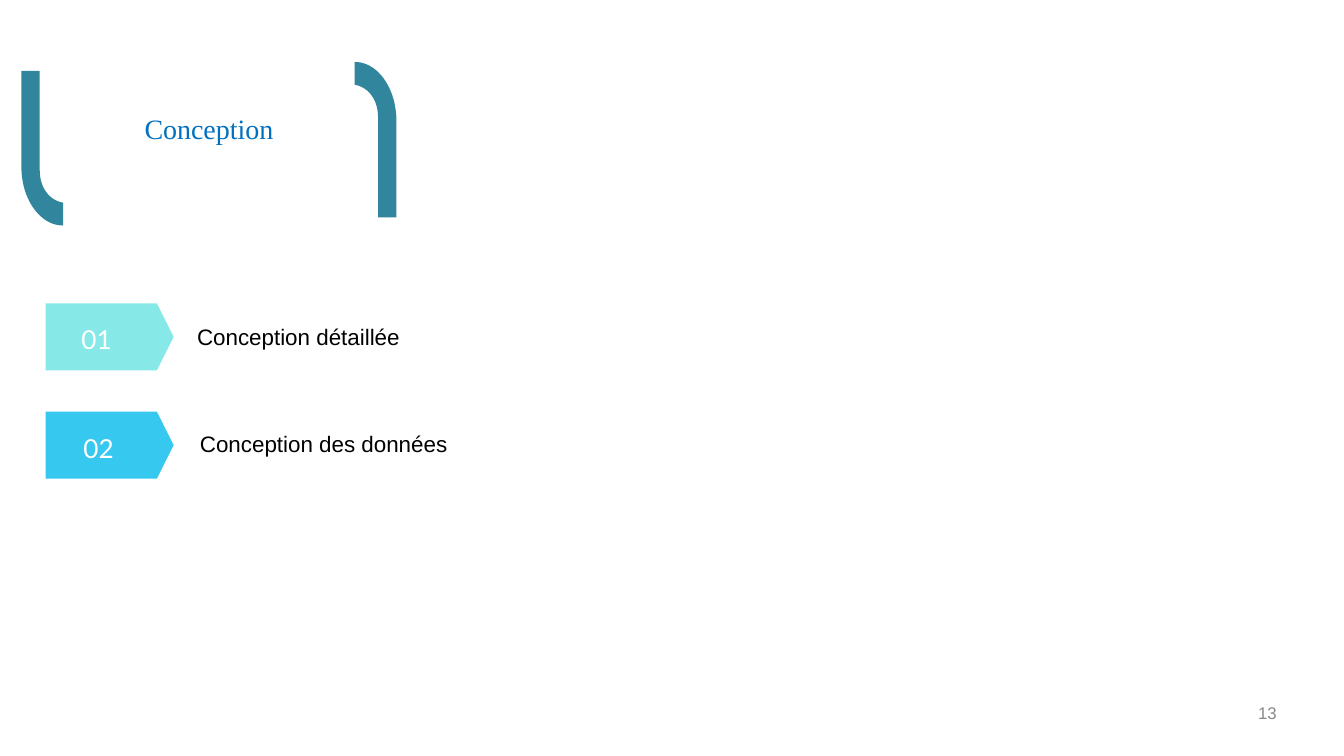
from dataclasses import dataclass

from pptx import Presentation
from pptx.dml.color import RGBColor as Rgb
from pptx.enum.shapes import MSO_SHAPE as Kind
from pptx.enum.text import MSO_ANCHOR as Anchor, PP_ALIGN as Align
from pptx.shapes.autoshape import Shape
from pptx.slide import Slide
from pptx.util import Pt


@dataclass(frozen=True)
class Font:
    name: str
    size: float
    color: str


@dataclass(frozen=True)
class Theme:
    title: Font = Font("Times New Roman", 15, "0070C0")
    label: Font = Font("Arial", 12, "000000")
    number: Font = Font("Lato", 14, "FFFFFF")
    page: Font = Font("Arial", 9, "888888")
    frame: str = "31859C"


@dataclass(frozen=True)
class Box:
    left: float
    top: float
    width: float
    height: float


@dataclass(frozen=True)
class Item:
    number: str
    label: str
    color: str
    num_box: Box
    label_box: Box


THEME = Theme()
TAG_LEFT, TAG_TOP, TAG_WIDTH, TAG_HEIGHT, PITCH = 24.5, 162.5, 68.5, 36, 58
ITEMS = [
    Item("01", "Conception détaillée", "86E9E8",
         Box(33.8, 165, 36, 31), Box(98.5, 169.5, 227, 21.6)),
    Item("02", "Conception des données", "37C8EF",
         Box(33.8, 222, 38.2, 34), Box(100, 227, 153.5, 21.6)),
]


def curve(a: tuple, b: tuple, c: tuple, d: tuple, steps: int = 24) -> list:
    """Points along a cubic Bezier curve."""
    pts = []
    for i in range(steps + 1):
        t = i / steps
        u = 1 - t
        parts = (u**3, 3 * u * u * t, 3 * u * t * t, t**3)
        pts.append(tuple(sum(k * p[n] for k, p in zip(parts, (a, b, c, d)))
                         for n in (0, 1)))
    return pts


def paint(shape: Shape, color: str) -> None:
    shape.shadow.inherit = False
    shape.fill.solid()
    shape.fill.fore_color.rgb = Rgb.from_string(color)
    shape.line.fill.background()


def write(shape: Shape, text: str, font: Font, align: Align = Align.LEFT,
          anchor: Anchor = Anchor.TOP, inset: tuple = (7.2, 3.6),
          space: float | None = None) -> None:
    frame = shape.text_frame
    frame.word_wrap = True
    frame.vertical_anchor = anchor
    frame.margin_left = frame.margin_right = Pt(inset[0])
    frame.margin_top = frame.margin_bottom = Pt(inset[1])
    frame.text = text
    par = frame.paragraphs[0]
    par.alignment = align
    if space:
        par.line_spacing = Pt(space)
    par.font.name = font.name
    par.font.size = Pt(font.size)
    par.font.color.rgb = Rgb.from_string(font.color)


def add_text(slide: Slide, box: Box, text: str, font: Font, **style) -> None:
    shape = slide.shapes.add_textbox(
        Pt(box.left), Pt(box.top), Pt(box.width), Pt(box.height))
    write(shape, text, font, **style)


def add_bracket(slide: Slide, box: Box, turned: bool) -> None:
    """Draw a hooked bar, turned by half a circle for the left side."""
    wide, high, bend, inner = box.width, box.height, 29.5, 12.5
    pts = [(wide, high),
           *curve((wide, bend), (21.6, 13.5), (12.2, 0), (0, 0)),
           *curve((0, 12.2), (7.2, 13.5), (inner, 20), (inner, bend)),
           (inner, high)]
    if turned:
        pts = [(wide - x, high - y) for x, y in pts]
    pts = [(Pt(box.left + x), Pt(box.top + y)) for x, y in pts]
    path = slide.shapes.build_freeform(*pts[0])
    path.add_line_segments(pts[1:], close=True)
    paint(path.convert_to_shape(), THEME.frame)


def add_item(slide: Slide, item: Item, row: int) -> None:
    tag = slide.shapes.add_shape(
        Kind.PENTAGON, Pt(TAG_LEFT), Pt(TAG_TOP + row * PITCH),
        Pt(TAG_WIDTH), Pt(TAG_HEIGHT))
    tag.adjustments[0] = 0.25
    paint(tag, item.color)
    add_text(slide, item.label_box, item.label, THEME.label)
    add_text(slide, item.num_box, item.number, THEME.number,
             align=Align.CENTER, anchor=Anchor.MIDDLE, inset=(2, 2), space=18.8)


def main() -> None:
    deck = Presentation()
    deck.slide_width, deck.slide_height = Pt(720), Pt(405)
    slide = deck.slides.add_slide(deck.slide_layouts[5])

    # Title between its brackets
    title = slide.shapes.title
    title.left, title.top = Pt(11.5), Pt(56.2)
    title.width, title.height = Pt(201), Pt(25.2)
    write(title, "Conception", THEME.title, align=Align.CENTER)
    add_bracket(slide, Box(190, 33.2, 22.3, 83.3), turned=False)
    add_bracket(slide, Box(11.5, 38, 22.3, 82.8), turned=True)

    # Numbered parts
    for row, item in enumerate(ITEMS):
        add_item(slide, item, row)

    # Page number
    add_text(slide, Box(518.4, 376.6, 165.6, 10.8), "13", THEME.page,
             align=Align.RIGHT, inset=(0, 0))
    deck.save("out.pptx")


if __name__ == "__main__":
    main()
